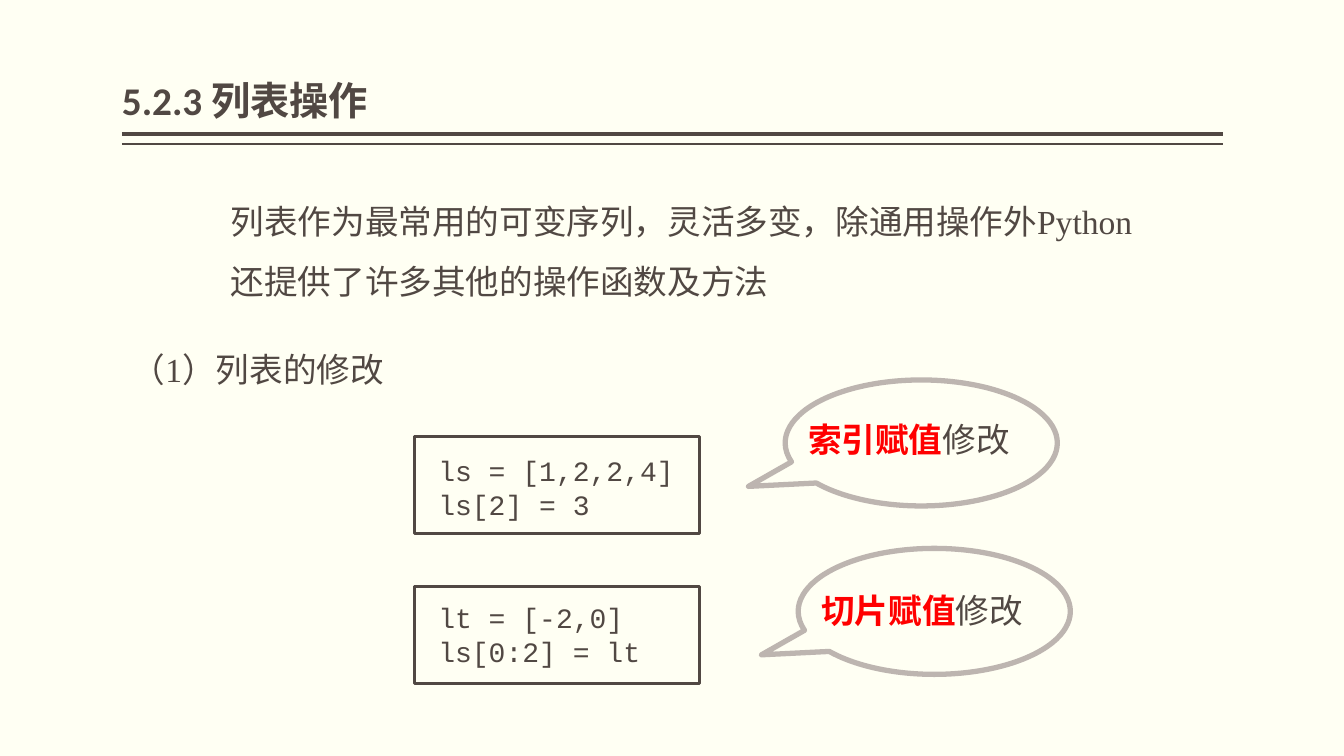
"""Build the slide on modifying Python lists by index and slice."""
from lxml.etree import SubElement
from pptx import Presentation
from pptx.dml.color import RGBColor
from pptx.enum.shapes import MSO_CONNECTOR, MSO_SHAPE
from pptx.enum.text import MSO_ANCHOR
from pptx.oxml.ns import qn
from pptx.util import Pt

TITLE = "5.2.3 列表操作"
INTRO = "列表作为最常用的可变序列，灵活多变，除通用操作外Python还提供了许多其他的操作函数及方法"
HEADING = "（1）列表的修改"
EXAMPLES = [
    {
        "code": ["ls = [1,2,2,4]", "ls[2] = 3"],
        "frame_top": 311.8, "code_top": 320.4,
        "callout": (560.9, 271.4), "label": (570.2, 295.9),
        "method": "索引赋值",
    },
    {
        "code": ["lt = [-2,0]", "ls[0:2] = lt"],
        "frame_top": 419, "code_top": 425.5,
        "callout": (570.2, 391.7), "label": (579.6, 417.6),
        "method": "切片赋值",
    },
]
ACTION = "修改"
COLORS = {"paper": "FFFFF3", "ink": "514843", "balloon": "BDB5B0", "accent": "FF0000"}
LEFT, RIGHT = 87.1, 873.4
RULES = [(95.8, 3), (103, 1)]


def color(name):
    return RGBColor.from_string(COLORS[name])


def add_text(page, area, lines, font, size, spacing=None):
    box = page.shapes.add_textbox(*map(Pt, area))
    frame = box.text_frame
    frame.word_wrap = True
    for index, runs in enumerate(lines):
        para = frame.paragraphs[0] if index == 0 else frame.add_paragraph()
        if spacing:
            para.line_spacing = spacing
        for text, ink, bold in runs:
            span = para.add_run()
            span.text = text
            span.font.name = font
            span.font.size = Pt(size)
            span.font.bold = bold
            span.font.color.rgb = color(ink)
    return frame


def add_outline(page, kind, area, ink, width):
    shape = page.shapes.add_shape(kind, *map(Pt, area))
    shape.shadow.inherit = False
    shape.fill.background()
    shape.line.color.rgb = color(ink)
    shape.line.width = Pt(width)
    return shape


def add_rule(page, top, width):
    rule = page.shapes.add_connector(
        MSO_CONNECTOR.STRAIGHT, Pt(LEFT), Pt(top), Pt(RIGHT), Pt(top))
    rule.line.color.rgb = color("ink")
    rule.line.width = Pt(width)
    SubElement(rule._element.spPr, qn("a:effectLst"))


def add_example(page, example):
    code = [[(line, "ink", False)] for line in example["code"]]
    add_text(page, (306, example["code_top"], 480, 55.4), code, "Courier New", 20)
    add_outline(page, MSO_SHAPE.RECTANGLE,
                (295.9, example["frame_top"], 203.8, 69.1), "ink", 2.25)
    balloon = add_outline(page, MSO_SHAPE.OVAL_CALLOUT,
                          (*example["callout"], 194.4, 90), "balloon", 3.78)
    balloon.adjustments[0] = -0.635
    balloon.adjustments[1] = 0.345
    label = [[(example["method"], "accent", True), (ACTION, "ink", False)]]
    add_text(page, (*example["label"], 175.7, 36), label, "Arial", 24)


def main():
    deck = Presentation()
    deck.slide_width, deck.slide_height = Pt(960), Pt(540)
    page = deck.slides.add_slide(deck.slide_layouts[6])
    page.background.fill.solid()
    page.background.fill.fore_color.rgb = color("paper")

    for top, width in RULES:
        add_rule(page, top, width)
    title = add_text(page, (LEFT, 5.8, RIGHT - LEFT, 86.4),
                     [[(TITLE, "ink", True)]], "Calibri", 28, 0.9)
    title.vertical_anchor = MSO_ANCHOR.BOTTOM
    title.margin_left = title.margin_right = 0
    add_text(page, (157.7, 125.3, 671.8, 94.3),
             [[(INTRO, "ink", False)]], "Times New Roman", 24, 1.5)
    add_text(page, (LEFT, 245.5, 844.6, 36),
             [[(HEADING, "ink", False)]], "Times New Roman", 24)
    for example in EXAMPLES:
        add_example(page, example)
    deck.save("out.pptx")


if __name__ == "__main__":
    main()
